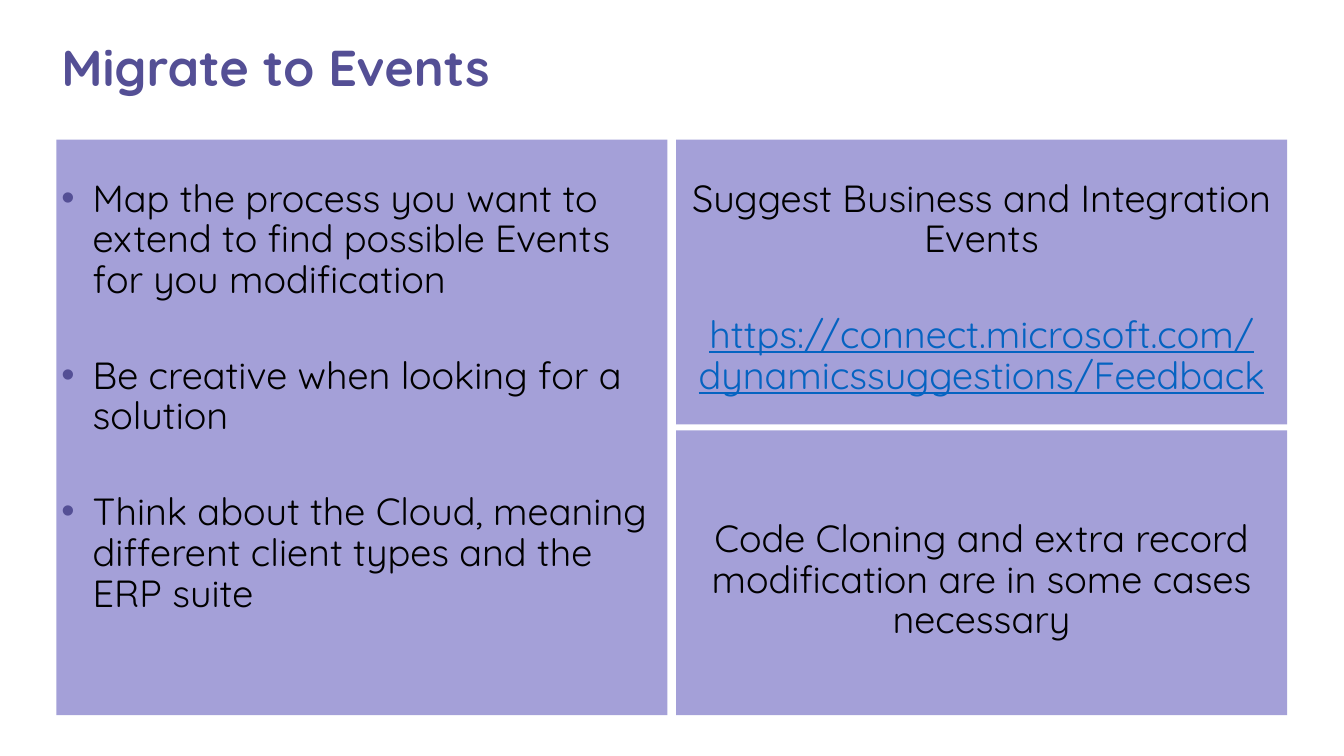
from dataclasses import dataclass
from typing import Optional

from lxml.etree import SubElement
from pptx import Presentation
from pptx.dml.color import RGBColor
from pptx.enum.shapes import MSO_SHAPE
from pptx.enum.text import MSO_ANCHOR, PP_ALIGN
from pptx.oxml.ns import qn
from pptx.util import Inches, Pt

WHITE = RGBColor(0xFF, 0xFF, 0xFF)
BLACK = RGBColor(0x00, 0x00, 0x00)
PURPLE = RGBColor(0x54, 0x4F, 0x95)
LILAC = RGBColor(0xA4, 0xA0, 0xD8)
LINK_BLUE = RGBColor(0x05, 0x63, 0xC1)
FONT = "Quicksand"

# Two columns by two rows, in inches
GRID_LEFT, GRID_TOP = 1.12, 2.77
COLUMN_WIDTH, ROW_HEIGHT = 12.12, 5.65
COLUMN_GAP, ROW_GAP = 0.17, 0.12
GRID_WIDTH = 2 * COLUMN_WIDTH + COLUMN_GAP

SIDE_INSET, EDGE_INSET = 0.1, 0.05
BULLET_INDENT = 0.62
PARAGRAPH_GAP = 78


@dataclass(frozen=True)
class Line:
    text: str
    is_link: bool = False


@dataclass(frozen=True)
class Panel:
    column: int
    row: int
    row_span: int
    top_inset: float
    lines: tuple[Line, ...]
    bulleted: bool = False


PANELS = (
    Panel(0, 0, 2, 0.79, (
        Line("Map the process you want to extend to find possible Events for you modification"),
        Line("Be creative when looking for a solution"),
        Line("Think about the Cloud, meaning different client types and the ERP suite"),
    ), bulleted=True),
    Panel(1, 0, 1, 0.79, (
        Line("Suggest Business and Integration Events"),
        Line("https://connect.microsoft.com/dynamicssuggestions/Feedback", is_link=True),
    )),
    Panel(1, 1, 1, 1.77, (
        Line("Code Cloning and extra record modification are in some cases necessary"),
    )),
)


def set_insets(frame, top: float = EDGE_INSET) -> None:
    frame.word_wrap = True
    frame.margin_left = frame.margin_right = Inches(SIDE_INSET)
    frame.margin_top, frame.margin_bottom = Inches(top), Inches(EDGE_INSET)


def add_bullet(paragraph) -> None:
    """Give the paragraph a hanging purple bullet."""
    properties = paragraph._p.get_or_add_pPr()
    properties.set("marL", str(Inches(BULLET_INDENT)))
    properties.set("indent", str(-Inches(BULLET_INDENT)))
    colour = SubElement(properties, qn("a:buClr"))
    SubElement(colour, qn("a:srgbClr"), val=str(PURPLE))
    SubElement(properties, qn("a:buFont"), typeface="Arial")
    SubElement(properties, qn("a:buChar"), char="•")


def write_paragraph(paragraph, text: str, *, size: int = 54, colour: RGBColor = BLACK,
                    bold: bool = False, underline: bool = False,
                    align: PP_ALIGN = PP_ALIGN.LEFT,
                    space_before: Optional[int] = None, bulleted: bool = False) -> None:
    paragraph.alignment = align
    paragraph.line_spacing = 0.9
    paragraph.space_before = Pt(space_before or 0)
    if bulleted:
        add_bullet(paragraph)
    span = paragraph.add_run()
    span.text = text
    span.font.name = FONT
    span.font.size = Pt(size)
    span.font.bold = bold
    span.font.underline = underline
    span.font.color.rgb = colour


def draw_panel(page, panel: Panel) -> None:
    left = GRID_LEFT + panel.column * (COLUMN_WIDTH + COLUMN_GAP)
    top = GRID_TOP + panel.row * (ROW_HEIGHT + ROW_GAP)
    height = panel.row_span * ROW_HEIGHT + (panel.row_span - 1) * ROW_GAP
    box = page.shapes.add_shape(MSO_SHAPE.RECTANGLE, Inches(left), Inches(top),
                                Inches(COLUMN_WIDTH), Inches(height))
    box.shadow.inherit = False
    box.fill.solid()
    box.fill.fore_color.rgb = LILAC
    box.line.fill.background()
    frame = box.text_frame
    set_insets(frame, panel.top_inset)
    frame.vertical_anchor = MSO_ANCHOR.TOP
    for index, line in enumerate(panel.lines):
        paragraph = frame.add_paragraph() if index else frame.paragraphs[0]
        write_paragraph(paragraph, line.text,
                        colour=LINK_BLUE if line.is_link else BLACK,
                        underline=line.is_link,
                        align=PP_ALIGN.LEFT if panel.bulleted else PP_ALIGN.CENTER,
                        space_before=PARAGRAPH_GAP if index else None,
                        bulleted=panel.bulleted)


def draw_title(page, text: str) -> None:
    box = page.shapes.add_textbox(Inches(GRID_LEFT), Inches(0.41),
                                  Inches(GRID_WIDTH), Inches(1.97))
    set_insets(box.text_frame)
    box.text_frame.vertical_anchor = MSO_ANCHOR.MIDDLE
    write_paragraph(box.text_frame.paragraphs[0], text, size=72, colour=PURPLE, bold=True)


def main() -> None:
    deck = Presentation()
    deck.slide_width, deck.slide_height = Inches(26.66), Inches(15)
    page = deck.slides.add_slide(deck.slide_layouts[6])
    page.background.fill.solid()
    page.background.fill.fore_color.rgb = WHITE
    for panel in PANELS:
        draw_panel(page, panel)
    draw_title(page, "Migrate to Events")
    deck.save("out.pptx")


if __name__ == "__main__":
    main()
